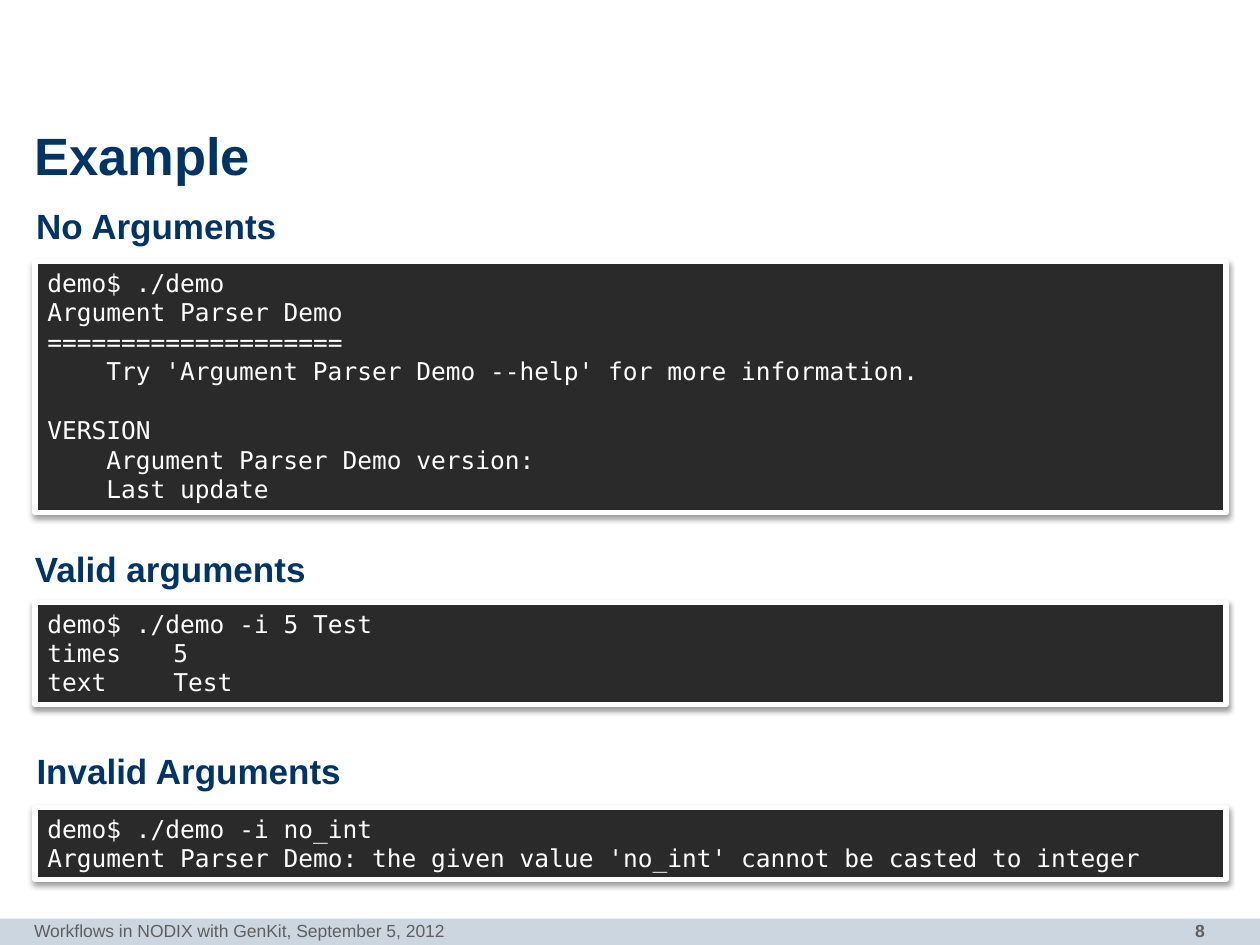
from lxml.etree import Element, SubElement
from pptx import Presentation
from pptx.dml.color import RGBColor
from pptx.enum.shapes import MSO_SHAPE
from pptx.enum.text import MSO_ANCHOR, MSO_AUTO_SIZE, PP_ALIGN
from pptx.oxml.ns import qn
from pptx.util import Pt

NAVY = RGBColor(0x00, 0x33, 0x66)
GRAY = RGBColor(0x5F, 0x5F, 0x5F)
PALE_BLUE = RGBColor(0xCC, 0xD6, 0xE0)
CHARCOAL = RGBColor(0x2A, 0x2A, 0x2A)
WHITE = RGBColor(0xFF, 0xFF, 0xFF)

CONTENT_WIDTH = 680.6
CONSOLE_LEFT = 20
CODE_INDENT = 33.7  # four characters at 14 pt
CODE_LINE = 16.8
VALUE_TAB = 72


class TerminalSlide:
    sans = "Arial"
    mono = "DejaVu Sans Mono"

    def __init__(self, slide):
        self.slide = slide

    def style(self, paragraph, name, size, color, bold=False):
        font = paragraph.font
        font.name, font.size, font.bold = name, Pt(size), bold
        font.color.rgb = color

    def rectangle(self, left, top, width, height, color):
        rect = self.slide.shapes.add_shape(
            MSO_SHAPE.RECTANGLE, Pt(left), Pt(top), Pt(width), Pt(height))
        rect.fill.solid()
        rect.fill.fore_color.rgb = color
        rect.line.fill.background()
        rect.shadow.inherit = False
        return rect

    def label(self, text, left, top, width, height, size, color, bold=False,
              inset=(0, 0)):
        """Add one line of text; inset is (horizontal, vertical)."""
        frame = self.slide.shapes.add_textbox(
            Pt(left), Pt(top), Pt(width), Pt(height)).text_frame
        frame.word_wrap = True
        frame.margin_left = frame.margin_right = Pt(inset[0])
        frame.margin_top = frame.margin_bottom = Pt(inset[1])
        line = frame.paragraphs[0]
        line.text = text
        self.style(line, self.sans, size, color, bold)
        return frame

    def heading(self, text, left, top, size):
        frame = self.label(text, left, top, CONTENT_WIDTH, 33.8, size, NAVY, True)
        frame.vertical_anchor = MSO_ANCHOR.MIDDLE
        frame.paragraphs[0].line_spacing = 0.85

    def console(self, top, height, lines):
        """Add a framed terminal; lines are (text, indented, gap above)."""
        screen = self.rectangle(CONSOLE_LEFT, top, CONTENT_WIDTH, height, CHARCOAL)
        screen.line.color.rgb = WHITE
        screen.line.width = Pt(3)
        self.drop_shadow(screen)
        frame = screen.text_frame
        frame.word_wrap = True
        frame.auto_size = MSO_AUTO_SIZE.SHAPE_TO_FIT_TEXT
        frame.vertical_anchor = MSO_ANCHOR.TOP
        for number, (text, indented, gap) in enumerate(lines):
            line = frame.add_paragraph() if number else frame.paragraphs[0]
            line.text = text
            line.alignment = PP_ALIGN.LEFT
            self.style(line, self.mono, 14, WHITE)
            if gap:
                line.space_before = Pt(gap)
            if indented:
                line._p.get_or_add_pPr().set("marL", str(Pt(CODE_INDENT)))
            if "\t" in text:
                self.tab_stop(line)

    def tab_stop(self, paragraph):
        stops = Element(qn("a:tabLst"))
        SubElement(stops, qn("a:tab"), pos=str(Pt(VALUE_TAB)), algn="l")
        # The schema wants tab stops ahead of the paragraph's font.
        paragraph._p.get_or_add_pPr().find(qn("a:defRPr")).addprevious(stops)

    def drop_shadow(self, shape):
        effects = shape._element.spPr.find(qn("a:effectLst"))
        shadow = SubElement(effects, qn("a:outerShdw"), blurRad=str(Pt(3.1)),
                            dist=str(Pt(1.6)), dir="5400000", rotWithShape="0")
        color = SubElement(shadow, qn("a:srgbClr"), val="000000")
        SubElement(color, qn("a:alpha"), val="38000")

    def footer(self, text, number):
        self.rectangle(0, 524.9, 720, 15.1, PALE_BLUE)
        page = self.label(number, 599, 522, 96.5, 18.7, 10, GRAY, True, (7.2, 3.6))
        page.paragraphs[0].alignment = PP_ALIGN.RIGHT
        self.label(text, 19.5, 522, 471, 18, 10, GRAY, inset=(0, 3.6))


def main():
    presentation = Presentation()
    presentation.slide_width, presentation.slide_height = Pt(720), Pt(540)
    page = TerminalSlide(
        presentation.slides.add_slide(presentation.slide_layouts[6]))

    page.footer("Workflows in NODIX with GenKit, September 5, 2012", "8")
    page.heading("Example", 19.5, 74.2, 30)

    page.heading("No Arguments", 20.7, 113.8, 20)
    page.console(149.6, 143.3, [
        ("demo$ ./demo", False, 0),
        ("Argument Parser Demo\n====================", False, 0),
        ("Try 'Argument Parser Demo --help' for more information.", True, 0),
        ("VERSION", False, CODE_LINE),
        ("Argument Parser Demo version:", True, 0),
        ("Last update", True, 0),
    ])

    page.heading("Valid arguments", 20, 309.6, 20)
    page.console(344.2, 58.3, [
        ("demo$ ./demo -i 5 Test", False, 0),
        ("times\t5", False, 0),
        ("text\tTest", False, 0),
    ])

    page.heading("Invalid Arguments", 20.9, 425.2, 20)
    page.console(461.5, 41, [
        ("demo$ ./demo -i no_int", False, 0),
        ("Argument Parser Demo: the given value 'no_int' cannot be casted "
         "to integer", False, 0),
    ])

    presentation.save("out.pptx")


if __name__ == "__main__":
    main()
